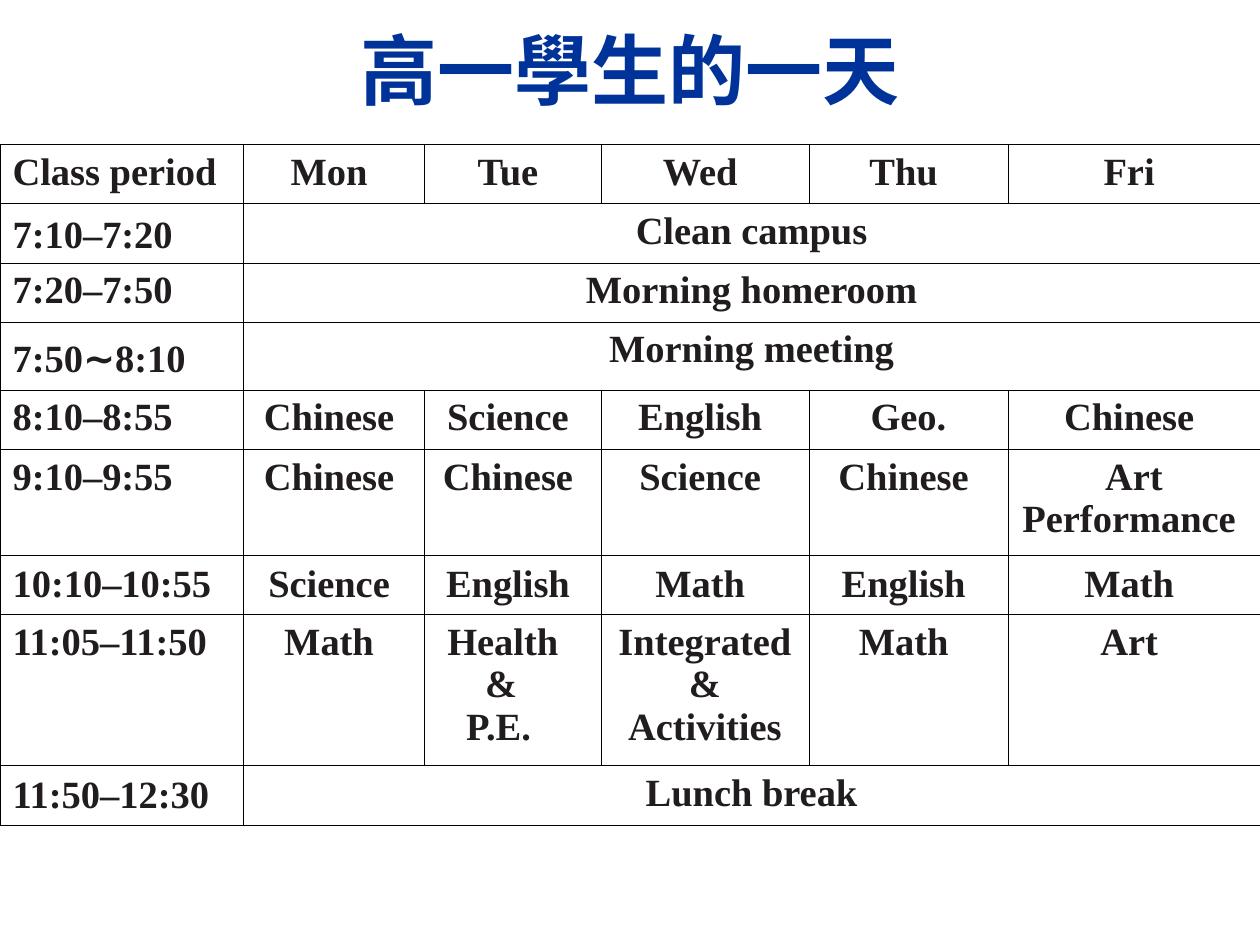
from lxml.etree import SubElement
from pptx import Presentation
from pptx.dml.color import RGBColor
from pptx.enum.text import MSO_ANCHOR as Anchor, PP_ALIGN as Align
from pptx.oxml import parse_xml
from pptx.oxml.ns import nsdecls, qn
from pptx.util import Inches, Pt

WHITE = RGBColor(0xFF, 0xFF, 0xFF)
BLUE = RGBColor(0x00, 0x33, 0x99)
INK = RGBColor(0x21, 0x1D, 0x1E)
LINE = RGBColor(0x00, 0x00, 0x00)
SERIF = "Times New Roman"
SANS = "Arial"
CJK = "Noto Sans CJK JP"
HANG = 0.38

COLS = (0.193, 0.144, 0.14, 0.165, 0.158, 0.2)
ROW = 0.47
TALL = {5: 0.84, 7: 1.2}
ANCHORS = {(1, 0): Anchor.BOTTOM, (8, 0): Anchor.MIDDLE}
ANCHORS.update({(6, col): Anchor.MIDDLE for col in range(len(COLS))})
STARTS = {(7, 2): (0.08, 0.23)}
PLAN = (
    ("Class period", "Mon ", "Tue ", "Wed ", "Thu ", "Fri "),
    ("7:10–7:20", "Clean campus"),
    ("7:20–7:50", "Morning homeroom"),
    ("7:50∼8:10", "Morning meeting"),
    ("8:10–8:55", "Chinese ", "Science ", "English ", "Geo.", "Chinese "),
    ("9:10–9:55", "Chinese ", "Chinese ", "Science ", "Chinese ", "Art\nPerformance "),
    ("10:10–10:55", "Science ", "English ", "Math ", "English ", "Math "),
    ("11:05–11:50", "Math ", "Health &\nP.E.", "Integrated\n&\nActivities", "Math ", "Art "),
    ("11:50–12:30", "Lunch break"),
)


def write(frame, text, font=SERIF, size=22, color=INK, align=Align.LEFT, hang=0, starts=()):
    """Fill a text frame, one paragraph for each line of text."""
    for num, line in enumerate(text.split("\n")):
        para = frame.paragraphs[0] if num == 0 else frame.add_paragraph()
        para.alignment = align
        if hang:
            first = starts[num] if starts else 0
            props = para._p.get_or_add_pPr()
            props.set("marL", str(Inches(hang)))
            props.set("indent", str(Inches(first - hang)))
        for part in line.replace("∼", "|∼|").split("|"):
            run = para.add_run()
            run.text = part
            run.font.name = CJK if part == "∼" else font
            run.font.size = Pt(size)
            run.font.bold = True
            run.font.color.rgb = color
            if part == "∼":
                SubElement(run._r.get_or_add_rPr(), qn("a:ea")).set("typeface", CJK)


def rule(cell):
    """Draw a thin line on each side of a cell and clear its fill."""
    props = cell._tc.get_or_add_tcPr()
    for side in "LRTB":
        props.append(parse_xml(
            f'<a:ln{side} {nsdecls("a")} w="{Pt(0.45)}"><a:solidFill>'
            f'<a:srgbClr val="{LINE}"/></a:solidFill></a:ln{side}>'))
    cell.fill.background()


def head(slide, left, top, width, height):
    """Place the title in the given box."""
    title = slide.shapes.title
    title.left, title.top, title.width, title.height = left, top, width, height
    title.text_frame.vertical_anchor = Anchor.MIDDLE
    write(title.text_frame, "高一學生的一天", font=SANS, size=44, color=BLUE, align=Align.CENTER)


def week(slide, left, top, width):
    """Place the timetable across the given width."""
    highs = [Inches(TALL.get(row, ROW)) for row in range(len(PLAN))]
    grid = slide.shapes.add_table(len(PLAN), len(COLS), left, top, width, sum(highs)).table
    grid.first_row = grid.horz_banding = False
    for col, share in zip(grid.columns, COLS):
        col.width = int(width * share)
    for row, high in zip(grid.rows, highs):
        row.height = high
    for cell in grid.iter_cells():
        rule(cell)
    for row, texts in enumerate(PLAN):
        if len(texts) == 2:
            grid.cell(row, 1).merge(grid.cell(row, len(COLS) - 1))
        for col, text in enumerate(texts):
            cell, starts = grid.cell(row, col), STARTS.get((row, col), ())
            cell.vertical_anchor = ANCHORS.get((row, col), Anchor.TOP)
            align = Align.CENTER if col and not starts else Align.LEFT
            write(cell.text_frame, text, align=align, hang=HANG, starts=starts)


def main():
    """Build the slide and save it."""
    deck = Presentation()
    deck.slide_width, deck.slide_height = Inches(10), Inches(7.5)
    wide, high = deck.slide_width, deck.slide_height
    slide = deck.slides.add_slide(deck.slide_layouts[5])
    slide.background.fill.solid()
    slide.background.fill.fore_color.rgb = WHITE
    head(slide, int(wide * 0.05), 0, int(wide * 0.9), int(high * 0.145))
    week(slide, 0, int(high * 0.153), wide)
    deck.save("out.pptx")


if __name__ == "__main__":
    main()
